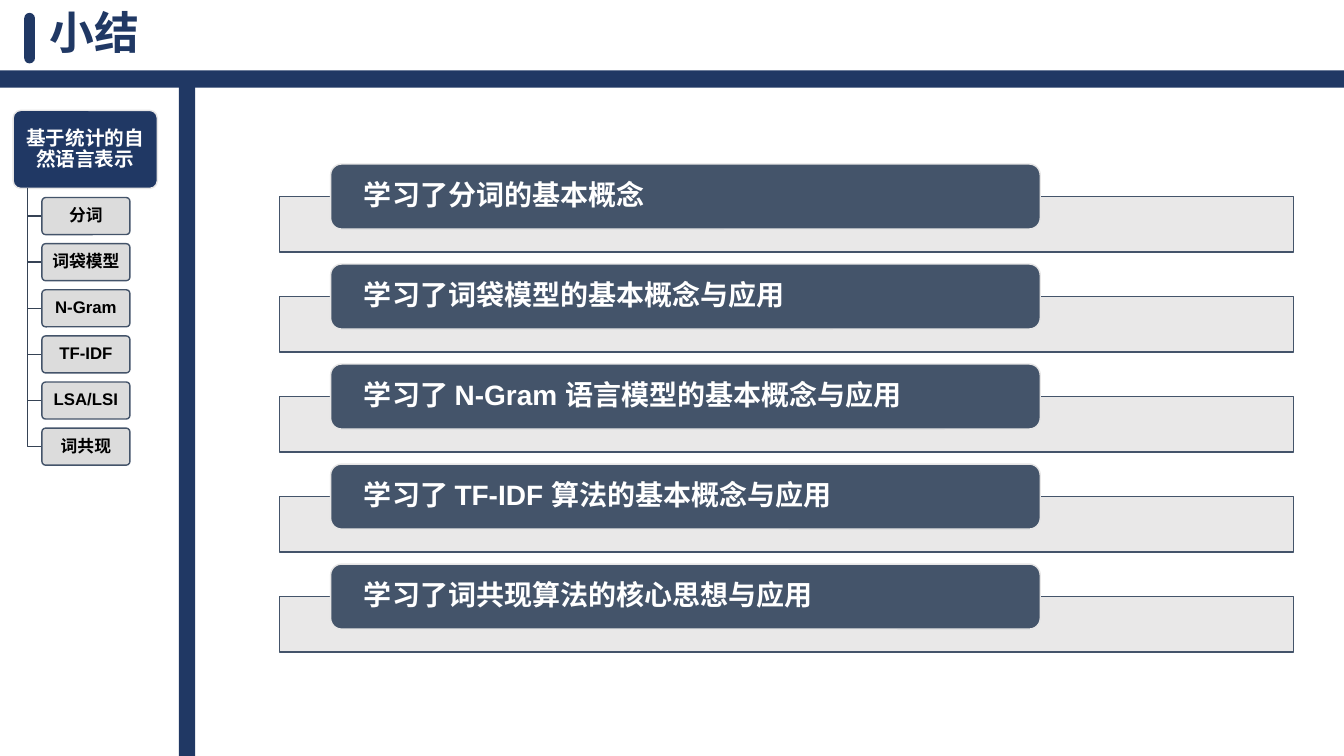
from dataclasses import dataclass

from pptx import Presentation
from pptx.dml.color import RGBColor
from pptx.enum.shapes import MSO_SHAPE as SHAPE
from pptx.enum.text import MSO_ANCHOR as ANCHOR, PP_ALIGN as ALIGN
from pptx.oxml.ns import qn
from pptx.util import Inches, Pt


@dataclass(frozen=True)
class Theme:
    font: str = "Arial"
    navy: str = "203864"
    slate: str = "44546A"
    branch: str = "364355"
    pale: str = "E7E6E6"
    grey: str = "D9D9D9"
    white: str = "FFFFFF"
    black: str = "000000"
    title: int = 32
    summary: int = 20
    root: int = 14
    topic: int = 12
    stroke: int = 1


THEME = Theme()
WIDTH, HEIGHT = Inches(13.333), Inches(7.5)
TOPICS = ["分词", "词袋模型", "N-Gram", "TF-IDF", "LSA/LSI", "词共现"]
SUMMARIES = [
    "学习了分词的基本概念",
    "学习了词袋模型的基本概念与应用",
    "学习了 N-Gram 语言模型的基本概念与应用",
    "学习了 TF-IDF 算法的基本概念与应用",
    "学习了词共现算法的核心思想与应用",
]


def col(share):
    return round(WIDTH * share / 100)


def row(share):
    return round(HEIGHT * share / 100)


def area(x, y, w, h):
    return col(x), row(y), col(w), row(h)


def add_box(s, kind, box, fill, line=None, radius=None, alpha=None):
    sp = s.shapes.add_shape(kind, *area(*box))
    sp.shadow.inherit = False
    sp.fill.solid()
    sp.fill.fore_color.rgb = RGBColor.from_string(fill)
    if alpha:
        color = sp.fill._xPr.find(qn("a:solidFill"))[0]
        color.makeelement(qn("a:alpha"), {})
        color.append(color.makeelement(qn("a:alpha"), {"val": str(alpha * 1000)}))
    if line:
        sp.line.color.rgb = RGBColor.from_string(line)
        sp.line.width = Pt(THEME.stroke)
    else:
        sp.line.fill.background()
    if radius is not None:
        sp.adjustments[0] = radius
    return sp


def write(sp, text, size, color, align=ALIGN.LEFT, inset=0.75):
    tf = sp.text_frame
    tf.word_wrap = True
    tf.vertical_anchor = ANCHOR.MIDDLE
    tf.margin_left = tf.margin_right = col(inset)
    tf.margin_top = tf.margin_bottom = 0
    p = tf.paragraphs[0]
    p.alignment = align
    p.line_spacing = 0.9
    r = p.add_run()
    r.text = text
    r.font.name = THEME.font
    r.font.size = Pt(size)
    r.font.bold = True
    r.font.color.rgb = RGBColor.from_string(color)


def add_branch(s, x, top, end_x, end_y):
    builder = s.shapes.build_freeform(col(x), row(top))
    builder.add_line_segments(
        [(col(x), row(end_y)), (col(end_x), row(end_y))], close=False
    )
    sp = builder.convert_to_shape()
    sp.shadow.inherit = False
    sp.fill.background()
    sp.line.color.rgb = RGBColor.from_string(THEME.branch)
    sp.line.width = Pt(THEME.stroke)


def add_frame(s, title):
    add_box(s, SHAPE.RECTANGLE, (0, 9.3, 100, 2.3), THEME.navy)
    add_box(s, SHAPE.RECTANGLE, (13.32, 10, 1.2, 90), THEME.navy)
    add_box(s, SHAPE.ROUNDED_RECTANGLE, (1.8, 1.7, 0.8, 6.7), THEME.navy, radius=0.5)
    tb = s.shapes.add_textbox(*area(2.93, 1.33, 86.25, 6.67))
    write(tb, title, THEME.title, THEME.navy)


def add_summary(s, text, top):
    add_box(s, SHAPE.RECTANGLE, (20.78, top + 4.3, 75.45, 7.33),
            THEME.pale, THEME.slate, alpha=90)
    card = add_box(s, SHAPE.ROUNDED_RECTANGLE, (24.6, top, 52.8, 8.6),
                   THEME.slate, THEME.pale)
    write(card, text, THEME.summary, THEME.white, inset=2.25)


def add_outline(s, heading, topics):
    left, top, height, pitch = 3.12, 26.13, 4.9, 6.1
    root = add_box(s, SHAPE.ROUNDED_RECTANGLE, (0.98, 14.6, 10.73, 10.33),
                   THEME.navy, THEME.pale, 0.1)
    write(root, heading, THEME.root, THEME.white, ALIGN.CENTER, 0.38)
    for i, topic in enumerate(topics):
        y = top + i * pitch
        add_branch(s, 2.03, 24.93, left, y + height / 2)
        node = add_box(s, SHAPE.ROUNDED_RECTANGLE, (left, y, 6.55, height),
                       THEME.grey, THEME.slate, 0.1, 90)
        write(node, topic, THEME.topic, THEME.black, ALIGN.CENTER, 0.3)


def main():
    prs = Presentation()
    prs.slide_width, prs.slide_height = WIDTH, HEIGHT
    s = prs.slides.add_slide(prs.slide_layouts[6])
    add_frame(s, "小结")
    for i, text in enumerate(SUMMARIES):
        add_summary(s, text, 21.7 + i * 13.23)
    add_outline(s, "基于统计的自然语言表示", TOPICS)
    prs.save("out.pptx")


if __name__ == "__main__":
    main()
